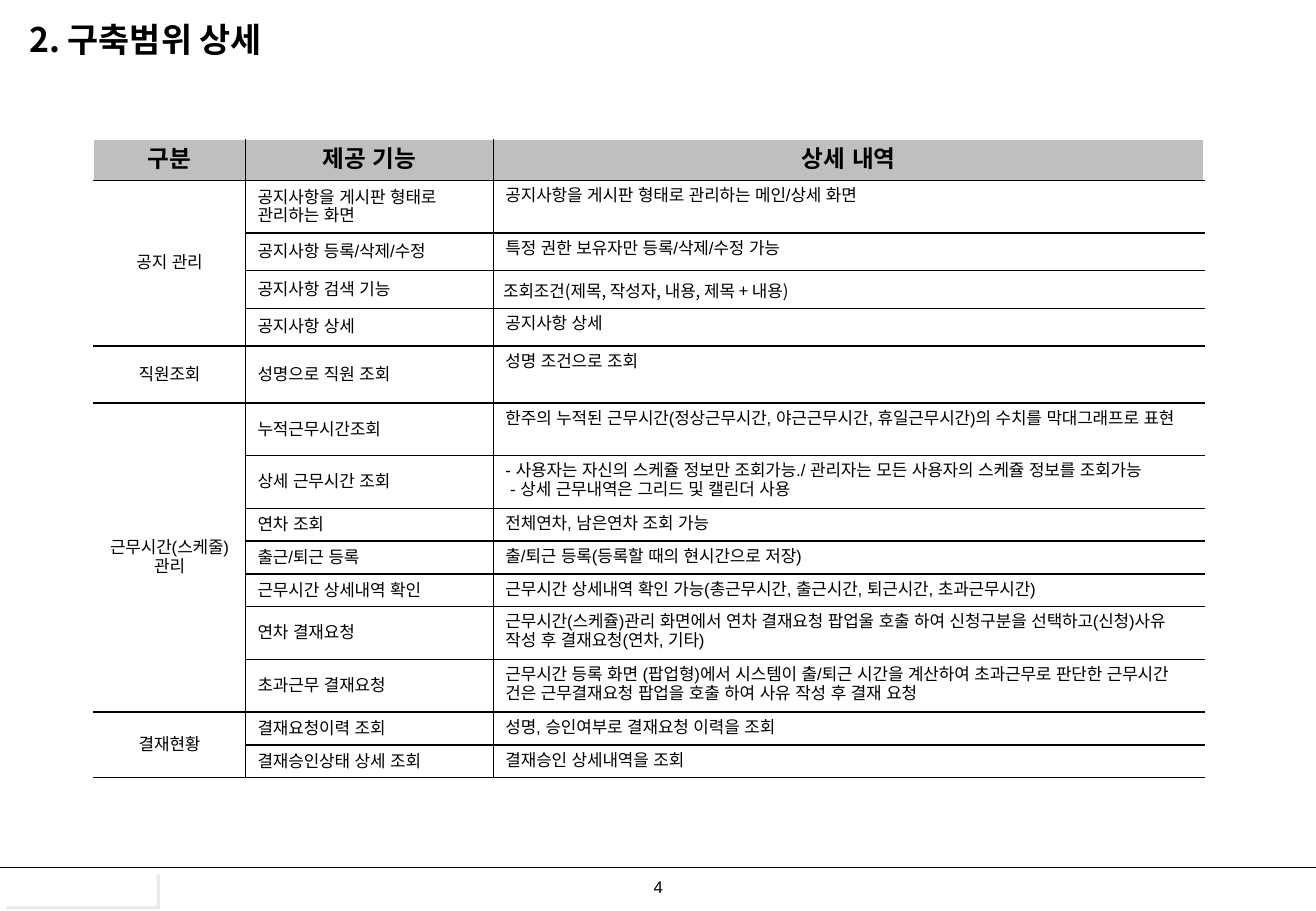
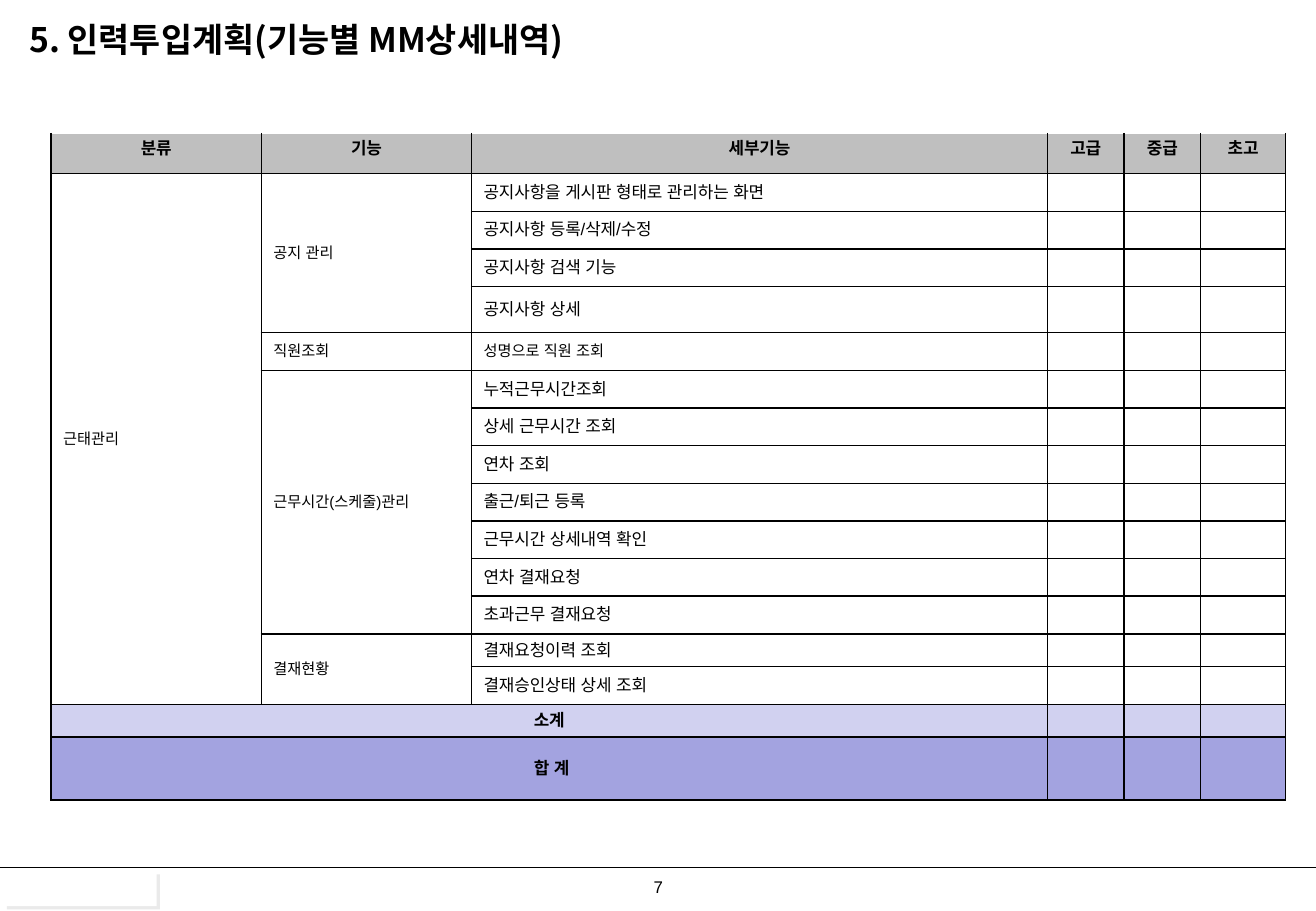
from lxml import etree
from pptx import Presentation
from pptx.dml.color import RGBColor
from pptx.enum.shapes import MSO_CONNECTOR, MSO_SHAPE
from pptx.enum.text import MSO_ANCHOR, MSO_AUTO_SIZE, PP_ALIGN
from pptx.oxml.ns import qn
from pptx.util import Inches, Pt

COLORS = {
    "text": "000000", "line": "000000", "paper": "FFFFFF", "shadow": "EAEAEA",
    "header": "BFBFBF", "subtotal": "D1D1F0", "total": "A3A3E0",
}
BODY_FONT, TITLE_FONT = "Arial", "Noto Sans CJK KR"
TITLES = [("2. 구축범위 상세", 5.07, "4"),
          ("5. 인력투입계획(기능별 MM상세내역)", 6.37, "7")]

# Each group holds its features, and each feature its details.
GROUPS = [
    ("공지 관리", [
        ("공지사항을 게시판 형태로 관리하는 화면",
         "공지사항을 게시판 형태로 관리하는 메인/상세 화면"),
        ("공지사항 등록/삭제/수정", "특정 권한 보유자만 등록/삭제/수정 가능"),
        ("공지사항 검색 기능", "조회조건(제목, 작성자, 내용, 제목 + 내용)"),
        ("공지사항 상세", "공지사항 상세"),
    ]),
    ("직원조회", [("성명으로 직원 조회", "성명 조건으로 조회")]),
    ("근무시간(스케줄)관리", [
        ("누적근무시간조회",
         "한주의 누적된 근무시간(정상근무시간, 야근근무시간, 휴일근무시간)의 수치를 막대그래프로 표현"),
        ("상세 근무시간 조회",
         "- 사용자는 자신의 스케쥴 정보만 조회가능./ 관리자는 모든 사용자의 스케쥴 정보를 조회가능\n"
         " - 상세 근무내역은 그리드 및 캘린더 사용"),
        ("연차 조회", "전체연차, 남은연차 조회 가능"),
        ("출근/퇴근 등록", "출/퇴근 등록(등록할 때의 현시간으로 저장)"),
        ("근무시간 상세내역 확인",
         "근무시간 상세내역 확인 가능(총근무시간, 출근시간, 퇴근시간, 초과근무시간)"),
        ("연차 결재요청",
         "근무시간(스케쥴)관리 화면에서 연차 결재요청 팝업울 호출 하여 신청구분을 선택하고(신청)"
         "사유 작성 후 결재요청(연차, 기타)"),
        ("초과근무 결재요청",
         "근무시간 등록 화면 (팝업형)에서 시스템이 출/퇴근 시간을 계산하여 초과근무로 판단한 "
         "근무시간 건은 근무결재요청 팝업을 호출 하여 사유 작성 후 결재 요청"),
    ]),
    ("결재현황", [
        ("결재요청이력 조회", "성명, 승인여부로 결재요청 이력을 조회"),
        ("결재승인상태 상세 조회", "결재승인 상세내역을 조회"),
    ]),
]


def write(frame, text, size=10, bold=False, align=PP_ALIGN.LEFT, font=BODY_FONT):
    frame.text = text
    for paragraph in frame.paragraphs:
        paragraph.alignment = align
        paragraph.font.size = Pt(size)
        paragraph.font.bold = bold
        paragraph.font.name = font
        paragraph.font.color.rgb = RGBColor.from_string(COLORS["text"])
        etree.SubElement(paragraph.font._element, qn("a:ea"), typeface=font)
        if not text:
            etree.SubElement(paragraph._p, qn("a:endParaRPr"), sz=str(size * 100))


def add_grid(slide, left, top, widths, heights, white_edges):
    """Add an empty ruled table; white_edges names the outer sides (L, R, T) in white."""
    table = slide.shapes.add_table(
        len(heights), len(widths), Inches(left), Inches(top),
        Inches(sum(widths)), Inches(sum(heights))).table
    table.first_row = table.horz_banding = False
    for column, width in zip(table.columns, widths):
        column.width = Inches(width)
    for r, height in enumerate(heights):
        table.rows[r].height = Inches(height)
        for c in range(len(widths)):
            cell = table.cell(r, c)
            outer = {"L": c == 0, "R": c == len(widths) - 1, "T": r == 0, "B": False}
            properties = cell._tc.get_or_add_tcPr()
            for side in "LRTB":
                white = outer[side] and side in white_edges
                border = etree.SubElement(properties, qn("a:ln" + side), w=str(Pt(1)))
                fill = etree.SubElement(border, qn("a:solidFill"))
                etree.SubElement(fill, qn("a:srgbClr"),
                                 val=COLORS["paper" if white else "line"])
            if r == 0:
                cell.fill.solid()
                cell.fill.fore_color.rgb = RGBColor.from_string(COLORS["header"])
            else:
                cell.fill.background()
                cell.vertical_anchor = MSO_ANCHOR.MIDDLE
            write(cell.text_frame, "")
    return table


prs = Presentation()
prs.slide_width, prs.slide_height = Inches(10.83), Inches(7.5)

slides = []
for heading, width, number in TITLES:
    slide = prs.slides.add_slide(prs.slide_layouts[5])
    slides.append(slide)

    rule = slide.shapes.add_connector(
        MSO_CONNECTOR.STRAIGHT, 0, Inches(7.14), prs.slide_width, Inches(7.14))
    rule.line.color.rgb = RGBColor.from_string(COLORS["line"])
    rule.line.width = Pt(0.75)
    etree.SubElement(rule._element.spPr, qn("a:effectLst"))

    plate = slide.shapes.add_shape(
        MSO_SHAPE.RECTANGLE, Inches(0.03), Inches(7.17), Inches(1.26), Inches(0.29))
    plate.fill.solid()
    plate.fill.fore_color.rgb = RGBColor.from_string(COLORS["paper"])
    plate.line.fill.background()
    plate.shadow.inherit = False
    shadow = etree.SubElement(
        plate._element.spPr.find(qn("a:effectLst")), qn("a:outerShdw"),
        dist=str(Pt(2.8)), dir=str(45 * 60000), algn="ctr", rotWithShape="0")
    etree.SubElement(shadow, qn("a:srgbClr"), val=COLORS["shadow"])

    page = slide.shapes.add_textbox(Inches(5.28), Inches(7.17), Inches(0.37), Inches(0.27))
    write(page.text_frame, number)

    title = slide.shapes.title
    title.left, title.top = Inches(0.14), Inches(0.13)
    title.width, title.height = Inches(width), Inches(0.39)
    title.text_frame.auto_size = MSO_AUTO_SIZE.NONE
    title.text_frame.vertical_anchor = MSO_ANCHOR.MIDDLE
    write(title.text_frame, heading, 20, True, font=TITLE_FONT)

scope_slide, staffing_slide = slides

# Scope: group, feature, details
scope = add_grid(
    scope_slide, 0.77, 1.15, [1.25, 2.04, 5.85],
    [0.33, 0.43] + [0.31] * 3 + [0.47] + [0.43] * 2 + [0.27] * 3 + [0.43] * 2 + [0.27] * 2,
    "LRT")
for c, label in enumerate(["구분", "제공 기능", "상세 내역"]):
    write(scope.cell(0, c).text_frame, label, 14, True, PP_ALIGN.CENTER)
row = 1
for group, features in GROUPS:
    scope.cell(row, 0).merge(scope.cell(row + len(features) - 1, 0))
    write(scope.cell(row, 0).text_frame, group, align=PP_ALIGN.CENTER)
    for feature, details in features:
        write(scope.cell(row, 1).text_frame, feature)
        write(scope.cell(row, 2).text_frame, details)
        scope.cell(row, 2).vertical_anchor = MSO_ANCHOR.TOP
        row += 1
search = scope.cell(3, 2)
search.vertical_anchor = MSO_ANCHOR.MIDDLE
search.margin_left = Inches(0.08)
search.margin_top = search.margin_right = Inches(0.01)
search.margin_bottom = 0
write(search.text_frame, search.text_frame.text, font=TITLE_FONT)

# Staffing: category, group, feature, then one column for each grade
staffing = add_grid(
    staffing_slide, 0.42, 1.1, [1.73, 1.73, 4.74, 0.63, 0.63, 0.7],
    [0.33] + [0.31] * 3 + [0.38] + [0.31] * 8 + [0.27, 0.31, 0.27, 0.52], "T")
for c, label in enumerate(["분류", "기능", "세부기능", "고급", "중급", "초고"]):
    write(staffing.cell(0, c).text_frame, label, 10, True, PP_ALIGN.CENTER)
row = 1
for group, features in GROUPS:
    staffing.cell(row, 1).merge(staffing.cell(row + len(features) - 1, 1))
    write(staffing.cell(row, 1).text_frame, group, 9)
    for feature, _ in features:
        write(staffing.cell(row, 2).text_frame, feature, 9 if len(features) == 1 else 10)
        row += 1
staffing.cell(1, 0).merge(staffing.cell(row - 1, 0))
write(staffing.cell(1, 0).text_frame, "근태관리", 9)
for label, color in [("소계", "subtotal"), (" 합 계", "total")]:
    for c in range(len(staffing.columns)):
        fill = staffing.cell(row, c).fill
        fill.solid()
        fill.fore_color.rgb = RGBColor.from_string(COLORS[color])
    staffing.cell(row, 0).merge(staffing.cell(row, 2))
    write(staffing.cell(row, 0).text_frame, label, 10, True, PP_ALIGN.CENTER)
    row += 1

prs.save("out.pptx")
